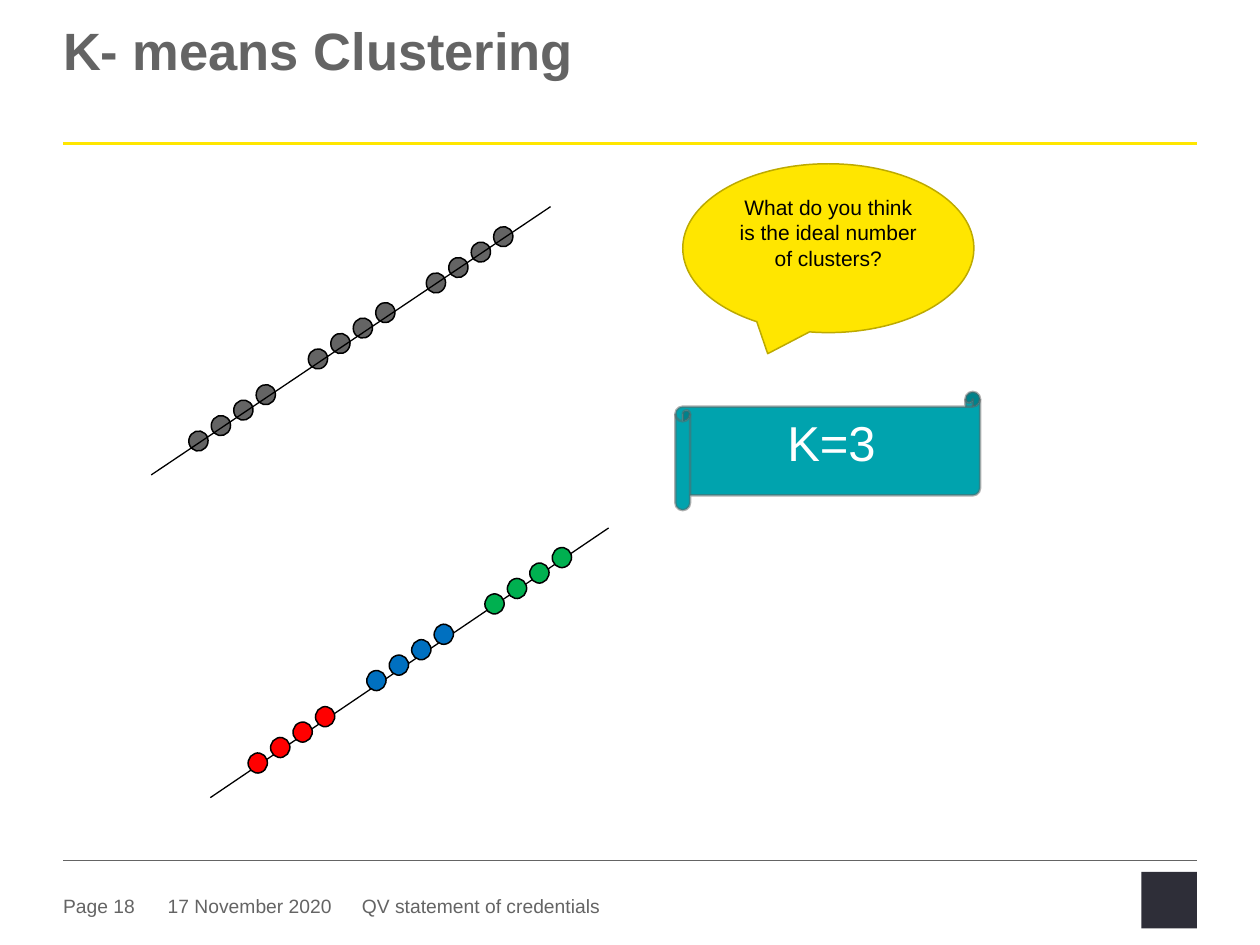
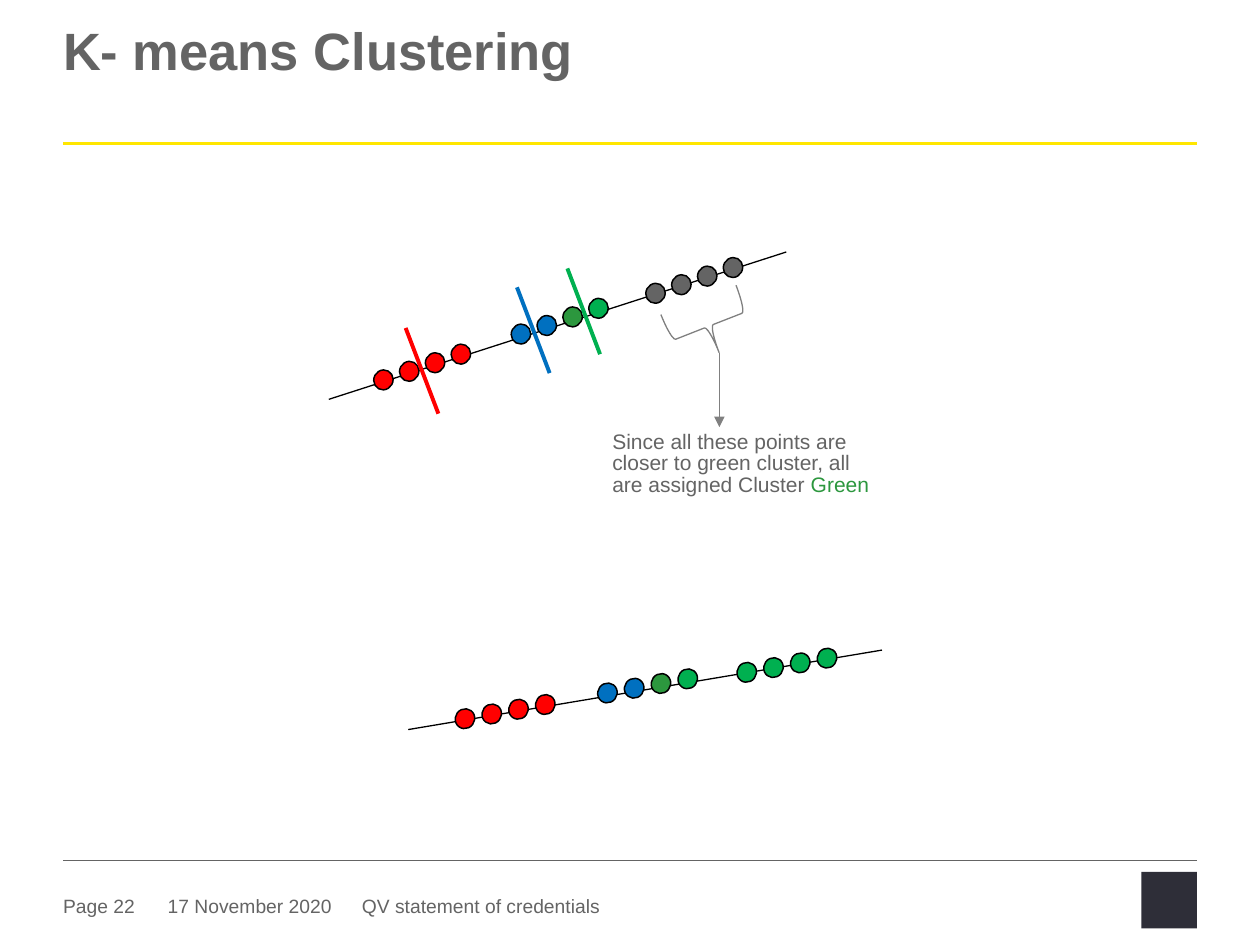
from dataclasses import dataclass
from typing import NamedTuple

from lxml.etree import SubElement
from pptx import Presentation
from pptx.dml.color import RGBColor
from pptx.enum.shapes import MSO_CONNECTOR as Conn, MSO_SHAPE as Shp
from pptx.enum.text import MSO_ANCHOR as Anchor, MSO_AUTO_SIZE as Fit, PP_ALIGN as Align
from pptx.oxml.ns import qn
from pptx.presentation import Presentation as Deck
from pptx.shapes.autoshape import Shape
from pptx.shapes.connector import Connector
from pptx.slide import Slide
from pptx.text.text import TextFrame
from pptx.util import Pt


@dataclass(frozen=True)
class Theme:
    font: str = "Arial"
    yellow: str = "FFE600"
    yellow_edge: str = "BDAA00"
    gray: str = "646464"
    scroll_edge: str = "626262"
    brace: str = "808080"
    teal: str = "00A3AE"
    ink: str = "2E2E38"
    black: str = "000000"
    white: str = "FFFFFF"
    red: str = "FF0000"
    blue: str = "0070C0"
    green: str = "00B050"
    leaf: str = "2C973E"
    title_size: float = 30
    answer_size: float = 28
    body_size: float = 12
    footer_size: float = 11
    tight: float = 0.85


T = Theme()


class Point(NamedTuple):
    x: float
    y: float


class Box(NamedTuple):
    x: float
    y: float
    w: float
    h: float


class Line(NamedTuple):
    start: Point
    end: Point
    color: str
    width: float


class Footer(NamedTuple):
    text: str
    x: float
    w: float


@dataclass(frozen=True)
class Cluster:
    first: Point
    colors: tuple[str, ...]


@dataclass(frozen=True)
class DotChain:
    axis: Line
    clusters: tuple[Cluster, ...]
    step: Point
    angle: float
    axis_on_top: bool = False


DOT_W, DOT_H = 11, 11.5
TITLE_BOX = Box(36, 15.8, 648, 67.7)
LOGO_BOX = Box(652.3, 498.2, 31.7, 32.4)
BANDS = (
    Line(Point(36, 82.1), Point(684, 82.1), T.yellow, 1.5),
    Line(Point(36, 491.5), Point(684, 491.5), T.gray, 0.25),
)
FOOTERS = (
    Footer("17 November 2020", 95.8, 100),
    Footer("QV statement of credentials", 206.8, 267),
)


def rgb(color: str) -> RGBColor:
    return RGBColor.from_string(color)


def add_run(tf: TextFrame, text: str, size: float, color: str, bold: bool = False) -> None:
    r = tf.paragraphs[0].add_run()
    r.text = text
    r.font.name = T.font
    r.font.size = Pt(size)
    r.font.bold = bold
    r.font.color.rgb = rgb(color)


def set_frame(tf: TextFrame, top: float = 0) -> None:
    tf.margin_left = tf.margin_right = tf.margin_bottom = Pt(0)
    tf.margin_top = Pt(top)
    tf.word_wrap = True
    tf.auto_size = Fit.NONE
    tf.vertical_anchor = Anchor.TOP


def add_text(s: Slide, box: Box, top: float = 0) -> TextFrame:
    tf = s.shapes.add_textbox(*map(Pt, box)).text_frame
    set_frame(tf, top)
    return tf


def add_shape(s: Slide, kind: Shp, box: Box, fill: str | None,
              edge: str | None = None, width: float = 0.85) -> Shape:
    sp = s.shapes.add_shape(kind, *map(Pt, box))
    sp.shadow.inherit = False
    if fill:
        sp.fill.solid()
        sp.fill.fore_color.rgb = rgb(fill)
    else:
        sp.fill.background()
    if edge:
        sp.line.color.rgb = rgb(edge)
        sp.line.width = Pt(width)
    else:
        sp.line.fill.background()
    return sp


def add_line(s: Slide, line: Line) -> Connector:
    cn = s.shapes.add_connector(Conn.STRAIGHT, *map(Pt, (*line.start, *line.end)))
    cn.line.color.rgb = rgb(line.color)
    cn.line.width = Pt(line.width)
    SubElement(cn._element.spPr, qn("a:effectLst"))
    return cn


def add_label(sp: Shape, text: str, size: float, color: str) -> None:
    tf = sp.text_frame
    tf.word_wrap = True
    tf.vertical_anchor = Anchor.TOP
    tf.paragraphs[0].alignment = Align.CENTER
    add_run(tf, text, size, color)


def add_chain(s: Slide, chain: DotChain) -> None:
    if not chain.axis_on_top:
        add_line(s, chain.axis)
    for cluster in chain.clusters:
        for i, color in enumerate(cluster.colors):
            x = cluster.first.x + i * chain.step.x - DOT_W / 2
            y = cluster.first.y + i * chain.step.y - DOT_H / 2
            dot = add_shape(s, Shp.FLOWCHART_CONNECTOR, Box(x, y, DOT_W, DOT_H), color, T.black)
            dot.rotation = chain.angle
    if chain.axis_on_top:
        add_line(s, chain.axis)


def add_base(prs: Deck, title: str, page: int) -> Slide:
    s = prs.slides.add_slide(prs.slide_layouts[5])
    for band in BANDS:
        add_line(s, band)
    for footer in (Footer(f"Page {page}", 36, 57), *FOOTERS):
        tf = add_text(s, Box(footer.x, 511.2, footer.w, 15.8))
        add_run(tf, footer.text, T.footer_size, T.gray)
    add_shape(s, Shp.RECTANGLE, LOGO_BOX, T.ink)

    sp = s.shapes.title
    sp.left, sp.top, sp.width, sp.height = map(Pt, TITLE_BOX)
    set_frame(sp.text_frame)
    p = sp.text_frame.paragraphs[0]
    p.alignment = Align.LEFT
    p.line_spacing = T.tight
    add_run(sp.text_frame, title, T.title_size, T.gray, bold=True)
    return s


def build_choice_of_k(prs: Deck) -> None:
    s = add_base(prs, "K- means Clustering", 18)
    step = Point(12.83, -8.82)
    add_chain(s, DotChain(
        Line(Point(86.4, 271.4), Point(314.6, 118.1), T.black, 0.75),
        (
            Cluster(Point(113.4, 252), (T.gray,) * 4),
            Cluster(Point(181.7, 205.1), (T.gray,) * 4),
            Cluster(Point(249.1, 161.7), (T.gray,) * 4),
        ),
        step, 12.6, axis_on_top=True,
    ))

    callout = add_shape(s, Shp.OVAL_CALLOUT, Box(390.2, 93.6, 166.4, 96.5), T.yellow, T.yellow_edge)
    add_label(callout, "What do you think is the ideal number of clusters?", T.body_size, T.black)

    scroll = add_shape(s, Shp.HORIZONTAL_SCROLL, Box(385.9, 223.9, 174.2, 67.7),
                       T.teal, T.scroll_edge, 1.35)
    edge_color = scroll._element.spPr.find(f".//{qn('a:ln')}//{qn('a:srgbClr')}")
    SubElement(edge_color, qn("a:alpha"), val="50000")
    add_label(scroll, "K=3", T.answer_size, T.white)

    add_chain(s, DotChain(
        Line(Point(120.2, 455.8), Point(347.8, 301.7), T.black, 0.75),
        (
            Cluster(Point(147.3, 436), (T.red,) * 4),
            Cluster(Point(215.1, 388.9), (T.blue,) * 4),
            Cluster(Point(282.6, 345.1), (T.green,) * 4),
        ),
        step, 12.3,
    ))


def build_assignment(prs: Deck) -> None:
    s = add_base(prs, "K- means Clustering", 22)
    middle = (T.blue, T.blue, T.leaf, T.green)
    add_chain(s, DotChain(
        Line(Point(187.9, 228.2), Point(449.3, 144), T.black, 0.75),
        (
            Cluster(Point(219.1, 217.1), (T.red,) * 4),
            Cluster(Point(297.7, 190.9), middle),
            Cluster(Point(374.6, 167.6), (T.gray,) * 4),
        ),
        Point(14.76, -4.9), 28.5,
    ))
    for top, color in (
        (Point(231.8, 187.4), T.red),
        (Point(295.4, 164.2), T.blue),
        (Point(324.2, 153.4), T.green),
    ):
        add_line(s, Line(top, Point(top.x + 18.7, top.y + 49), color, 2.25))

    brace = add_shape(s, Shp.RIGHT_BRACE, Box(388.8, 163.4, 32.4, 46.1), None, T.brace, 0.75)
    brace.rotation = 68.6
    arrow = add_line(s, Line(Point(411.1, 201.6), Point(411.1, 244.1), T.brace, 0.75))
    SubElement(arrow.line._get_or_add_ln(), qn("a:tailEnd"), type="triangle")

    tf = add_text(s, Box(349.9, 244.1, 156.2, 40.3), top=2.9)
    p = tf.paragraphs[0]
    p.line_spacing = T.tight
    p.space_after = Pt(6)
    add_run(tf, "Since all these points are closer to green cluster, all are assigned Cluster ",
            T.body_size, T.gray)
    add_run(tf, "Green", T.body_size, T.leaf)

    add_chain(s, DotChain(
        Line(Point(233.3, 416.9), Point(504, 371.5), T.black, 0.75),
        (
            Cluster(Point(265.7, 410.7), (T.red,) * 4),
            Cluster(Point(347.1, 396), middle),
            Cluster(Point(426.7, 384.2), (T.green,) * 4),
        ),
        Point(15.3, -2.7), 36.9,
    ))


def main() -> None:
    prs = Presentation()
    prs.slide_width, prs.slide_height = Pt(720), Pt(540)
    build_choice_of_k(prs)
    build_assignment(prs)
    prs.save("out.pptx")


if __name__ == "__main__":
    main()
